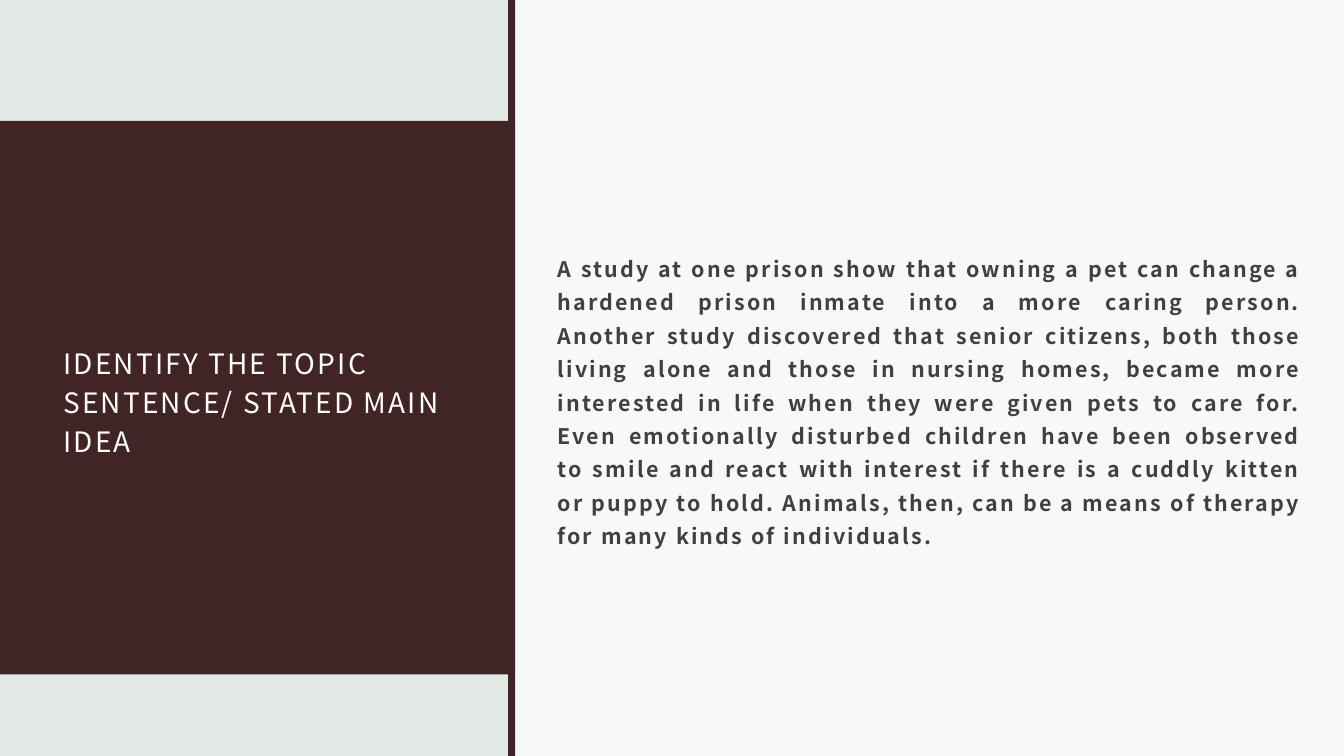
from pptx import Presentation, util as u
from pptx.dml.color import RGBColor
from pptx.enum import shapes, text
from pptx.oxml.ns import qn
from lxml import etree

TITLE = "IDENTIFY THE TOPIC SENTENCE/ STATED MAIN IDEA"
PASSAGE = (
    "A study at one prison show that owning a pet can change a hardened prison inmate "
    "into a more caring person. Another study discovered that senior citizens, both those "
    "living alone and those in nursing homes, became more interested in life when they were "
    "given pets to care for. Even emotionally disturbed children have been observed to smile "
    "and react with interest if there is a cuddly kitten or puppy to hold. Animals, then, "
    "can be a means of therapy for many kinds of individuals."
)


def color(value):
    return RGBColor.from_string(value)


class Painter:
    font = "Noto Sans CJK JP"
    maroon = "412524"
    mist = "E2E8E5"
    white = "FFFFFF"
    charcoal = "404040"
    tracking = 1.5

    def __init__(self, page):
        self.page = page

    def background(self, fill):
        self.page.background.fill.solid()
        self.page.background.fill.fore_color.rgb = color(fill)

    def panel(self, left, top, width, height, fill, opacity=100):
        box = self.page.shapes.add_shape(
            shapes.MSO_SHAPE.RECTANGLE, *map(u.Inches, (left, top, width, height)))
        box.shadow.inherit = False
        box.fill.solid()
        box.fill.fore_color.rgb = color(fill)
        box.line.fill.background()
        if opacity < 100:
            shade = box._element.spPr.find(qn("a:solidFill"))[0]
            etree.SubElement(shade, qn("a:alpha")).set("val", str(opacity * 1000))

    def text_block(self, left, top, width, height, words, size, ink, anchor, align,
                   spacing, before=0, bold=False):
        box = self.page.shapes.add_textbox(*map(u.Inches, (left, top, width, height)))
        frame = box.text_frame
        frame.word_wrap = True
        frame.vertical_anchor = anchor
        frame.margin_left = frame.margin_right = frame.margin_top = u.Inches(0.12)
        frame.margin_bottom = u.Inches(0.1)
        frame.text = words
        para = frame.paragraphs[0]
        para.alignment = align
        para.line_spacing = spacing
        para.space_before = u.Pt(before)
        span = para.runs[0]
        span.font.name = self.font
        span.font.size = u.Pt(size)
        span.font.bold = bold
        span.font.color.rgb = color(ink)
        properties = span._r.get_or_add_rPr()
        properties.set("spc", str(int(self.tracking * 100)))


def main():
    deck = Presentation()
    deck.slide_width, deck.slide_height = u.Inches(13.33), u.Inches(7.5)
    painter = Painter(deck.slides.add_slide(deck.slide_layouts[6]))
    painter.background(painter.mist)
    painter.panel(0, 1.2, 5.11, 5.49, painter.maroon)
    painter.text_block(0.51, 1.87, 4.11, 2.77, TITLE, 20, painter.white,
                       text.MSO_ANCHOR.BOTTOM, text.PP_ALIGN.LEFT, 1.15)
    painter.panel(5.11, 0, 8.22, 7.5, painter.white, opacity=75)
    painter.panel(5.04, 0, 0.07, 7.5, painter.maroon)
    painter.text_block(5.41, 2.15, 7.62, 3.59, PASSAGE, 15.3, painter.charcoal,
                       text.MSO_ANCHOR.MIDDLE, text.PP_ALIGN.JUSTIFY, 1.3,
                       before=9.3, bold=True)
    deck.save("out.pptx")


if __name__ == "__main__":
    main()
